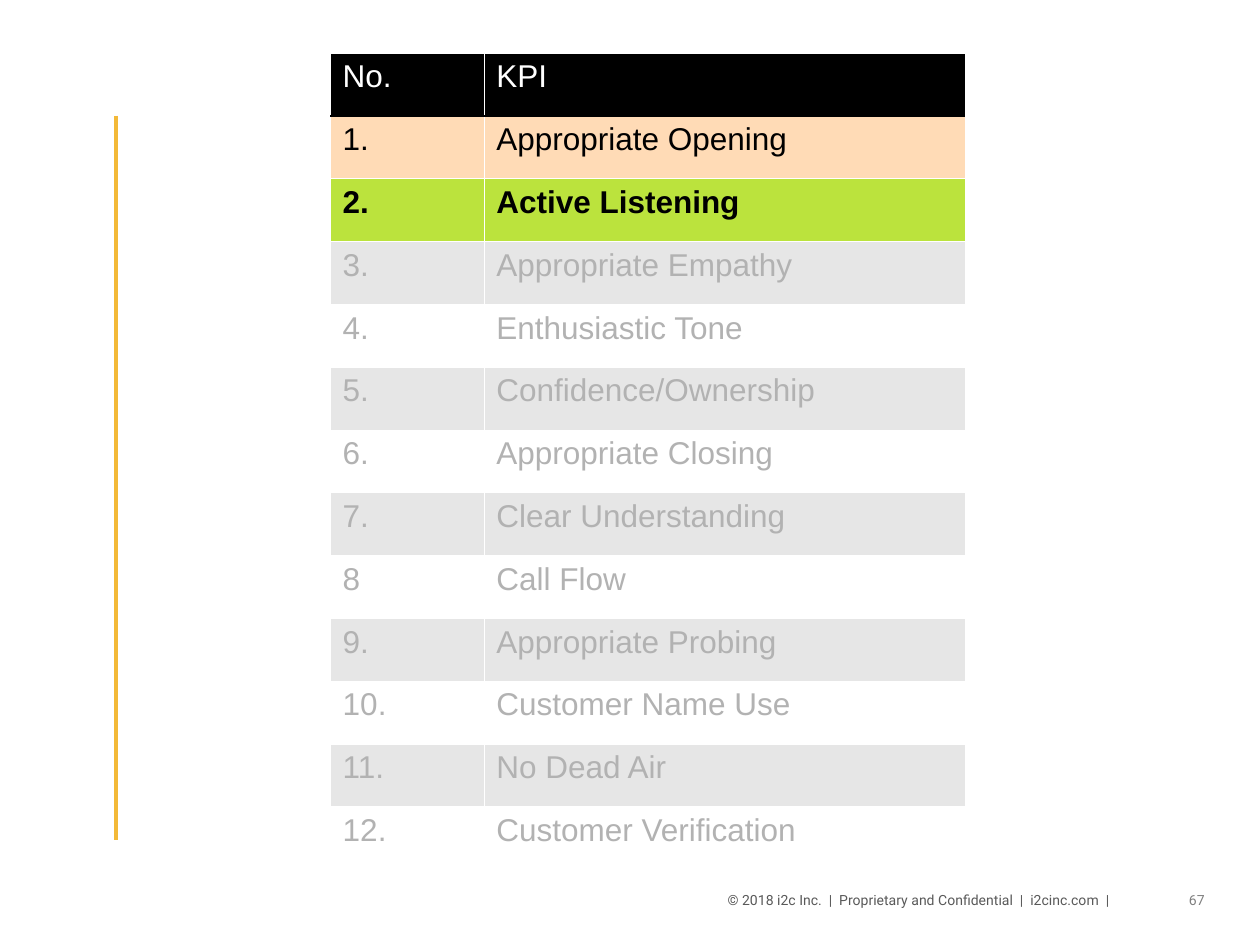
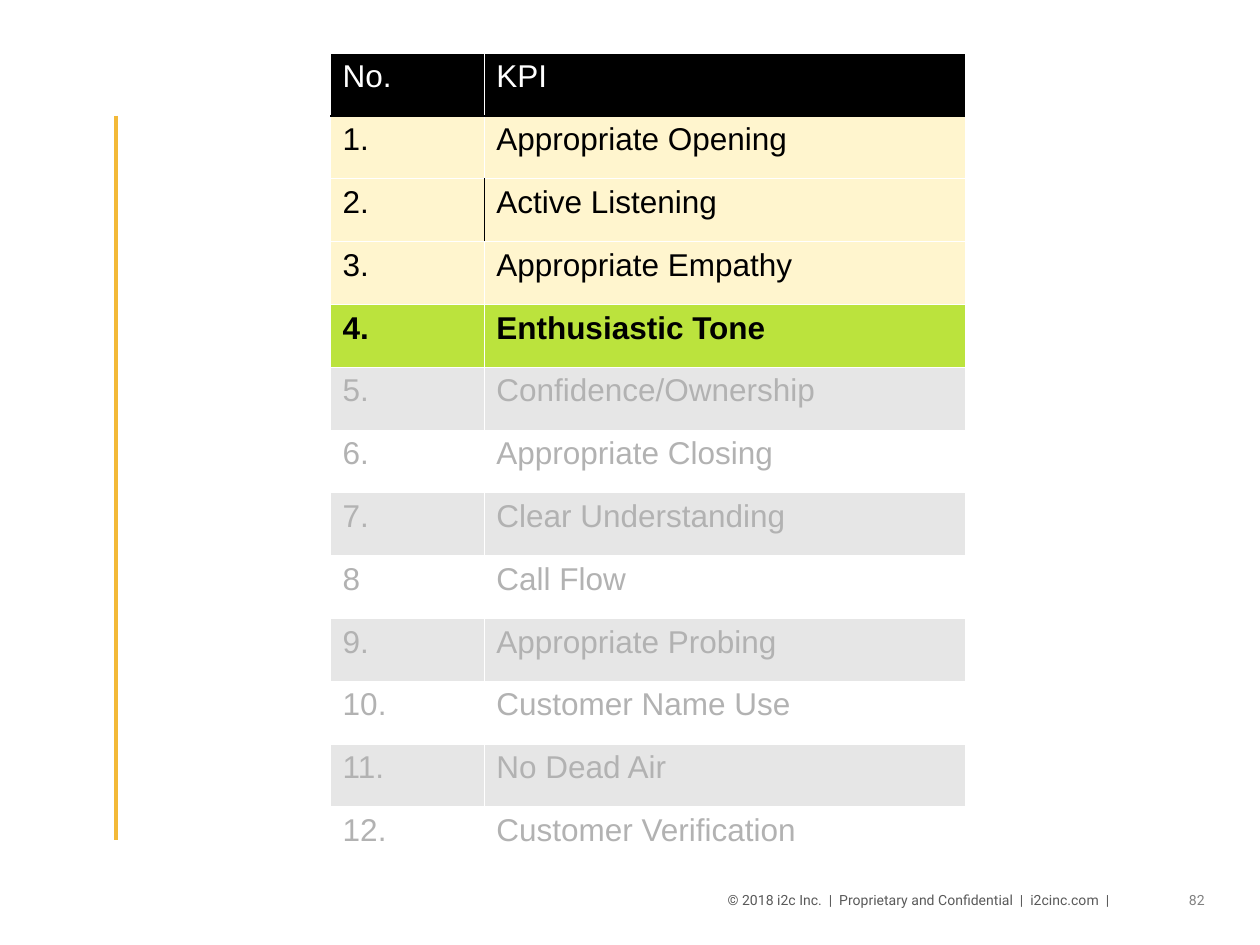
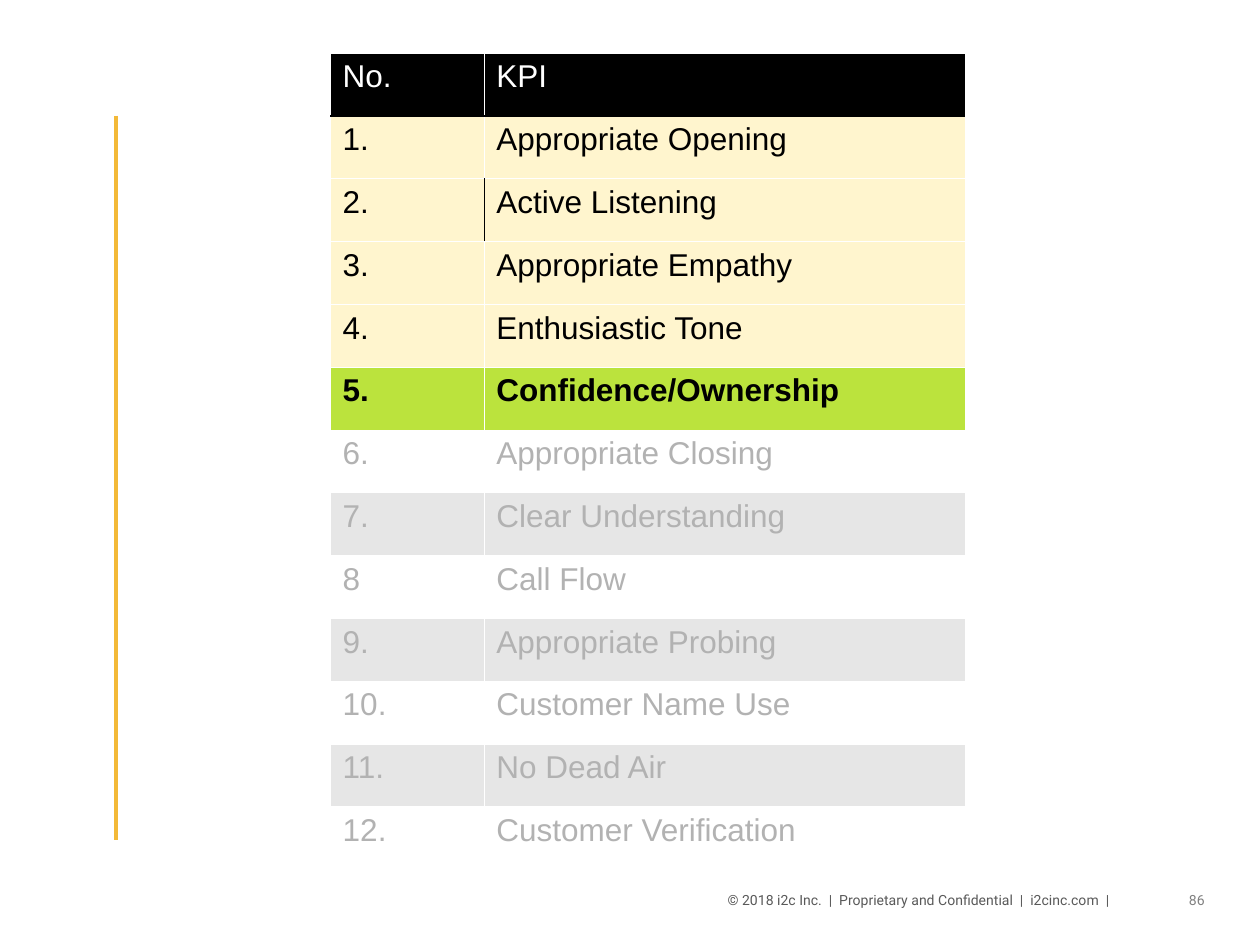
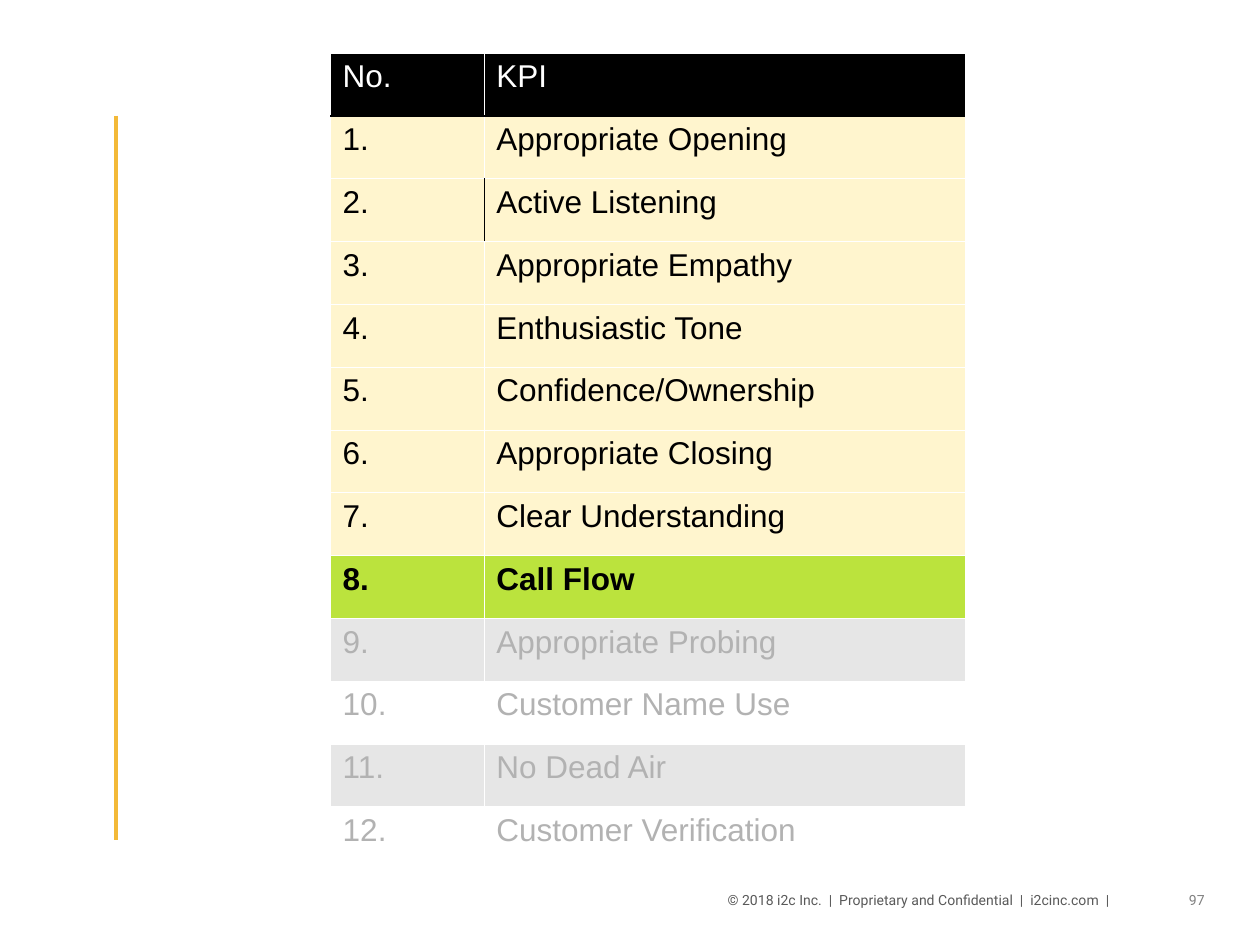
from lxml import etree
from pptx import Presentation
from pptx.dml.color import RGBColor
from pptx.enum.text import PP_ALIGN
from pptx.enum.shapes import MSO_CONNECTOR
from pptx.oxml.ns import qn
from pptx.util import Inches, Pt

BLACK = RGBColor(0x00, 0x00, 0x00)
WHITE = RGBColor(0xFF, 0xFF, 0xFF)
PEACH = RGBColor(0xFF, 0xDB, 0xB6)
CREAM = RGBColor(0xFF, 0xF5, 0xCE)
LIME = RGBColor(0xBB, 0xE3, 0x3D)
BAND = RGBColor(0xE6, 0xE6, 0xE6)
FADED = RGBColor(0xB2, 0xB2, 0xB2)
GOLD = RGBColor(0xF3, 0xB9, 0x38)
FOOTER_GRAY = RGBColor(0x59, 0x59, 0x59)
NUMBER_GRAY = RGBColor(0x80, 0x80, 0x80)

HEADINGS = ("No.", "KPI")
KPIS = [
    "Appropriate Opening",
    "Active Listening",
    "Appropriate Empathy",
    "Enthusiastic Tone",
    "Confidence/Ownership",
    "Appropriate Closing",
    "Clear Understanding",
    "Call Flow",
    "Appropriate Probing",
    "Customer Name Use",
    "No Dead Air",
    "Customer Verification",
]
COPYRIGHT = "© 2018 i2c Inc.  |  Proprietary and Confidential  |  i2cinc.com  |"
AGENDA = [
    {"page": 67, "current": 2, "done": PEACH},
    {"page": 82, "current": 4, "done": CREAM},
    {"page": 86, "current": 5, "done": CREAM},
    {"page": 97, "current": 8, "done": CREAM},
]

TABLE_LEFT, TABLE_TOP = 2.62, 0.42
TABLE_HEIGHT = 6.48
COLUMN_WIDTHS = (1.22, 3.82)
HAIRLINE = 0.06
HEADER_RULE = 1.5


def style_run(run, font, size, color, bold=False):
    run.font.name = font
    run.font.size = Pt(size)
    run.font.color.rgb = color
    run.font.bold = bold


def add_footer_text(slide, left, width, words, color):
    box = slide.shapes.add_textbox(
        Inches(left), Inches(7.03), Inches(width), Inches(0.31))
    box.text_frame.word_wrap = True
    box.text_frame.text = words
    line = box.text_frame.paragraphs[0]
    line.alignment = PP_ALIGN.RIGHT
    style_run(line.runs[0], "Roboto", 8, color)


def add_frame(slide, page):
    add_footer_text(slide, 7.33, 2.33, str(page), NUMBER_GRAY)
    add_footer_text(slide, 5.33, 3.58, COPYRIGHT, FOOTER_GRAY)
    rule = slide.shapes.add_connector(
        MSO_CONNECTOR.STRAIGHT,
        Inches(0.92), Inches(0.92), Inches(0.92), Inches(6.67))
    rule.line.color.rgb = GOLD
    rule.line.width = Pt(2.25)
    etree.SubElement(rule._element.spPr, qn("a:effectLst"))


def set_borders(cell, borders):
    properties = cell._tc.get_or_add_tcPr()
    for side in "LRTB":
        color, width = borders.get(side, (WHITE, HAIRLINE))
        line = etree.SubElement(properties, qn(f"a:ln{side}"), w=str(Pt(width)))
        fill = etree.SubElement(line, qn("a:solidFill"))
        etree.SubElement(fill, qn("a:srgbClr"), val=str(color))


def row_style(number, current, done):
    if number == 0:
        return BLACK, WHITE
    if number < current:
        return done, BLACK
    if number == current:
        return LIME, BLACK
    return (BAND if number % 2 else WHITE), FADED


def row_label(number, current):
    return "8" if number == 8 and current != 8 else f"{number}."


def cell_borders(number, column, current):
    borders = {}
    if number == 0:
        borders["B"] = (BLACK, HEADER_RULE)
    if number == 1:
        borders["T"] = (BLACK, HEADER_RULE)
    if number == 2 and current > 2:
        borders["R" if column == 0 else "L"] = (BLACK, HAIRLINE)
    return borders


def add_kpi_table(slide, current, done):
    rows = [HEADINGS] + [
        (row_label(number, current), kpi)
        for number, kpi in enumerate(KPIS, 1)]
    table = slide.shapes.add_table(
        len(rows), len(HEADINGS), Inches(TABLE_LEFT), Inches(TABLE_TOP),
        Inches(sum(COLUMN_WIDTHS)), Inches(TABLE_HEIGHT)).table
    for column, width in zip(table.columns, COLUMN_WIDTHS):
        column.width = Inches(width)
    for number, words in enumerate(rows):
        table.rows[number].height = Inches(TABLE_HEIGHT / len(rows))
        fill, ink = row_style(number, current, done)
        for column, word in enumerate(words):
            cell = table.cell(number, column)
            set_borders(cell, cell_borders(number, column, current))
            cell.fill.solid()
            cell.fill.fore_color.rgb = fill
            cell.text_frame.text = word
            style_run(cell.text_frame.paragraphs[0].runs[0],
                      "Arial", 18, ink, number == current)


def main():
    deck = Presentation()
    deck.slide_width, deck.slide_height = Inches(10), Inches(7.5)
    for stop in AGENDA:
        slide = deck.slides.add_slide(deck.slide_layouts[6])
        add_frame(slide, stop["page"])
        add_kpi_table(slide, stop["current"], stop["done"])
    deck.save("out.pptx")


if __name__ == "__main__":
    main()
